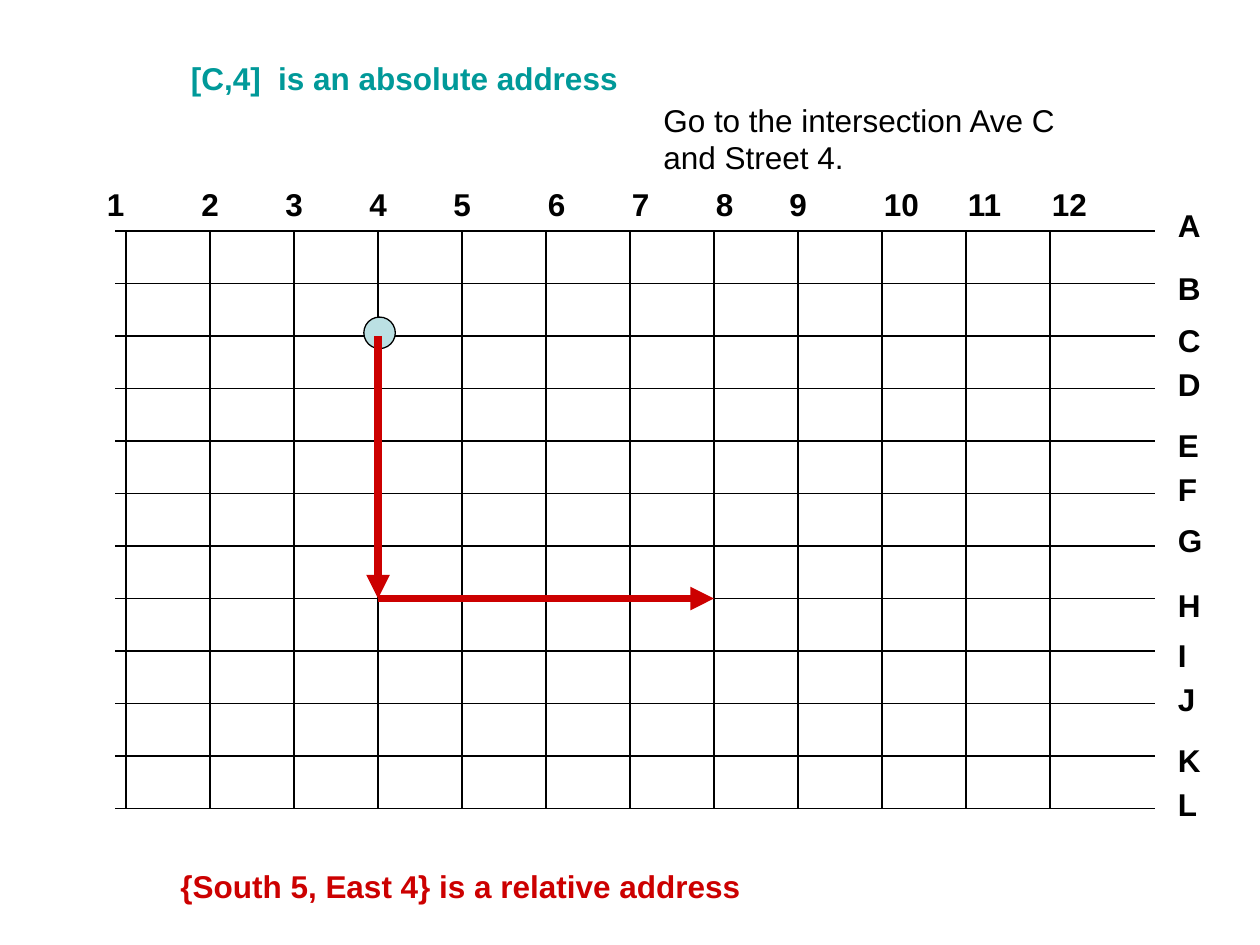
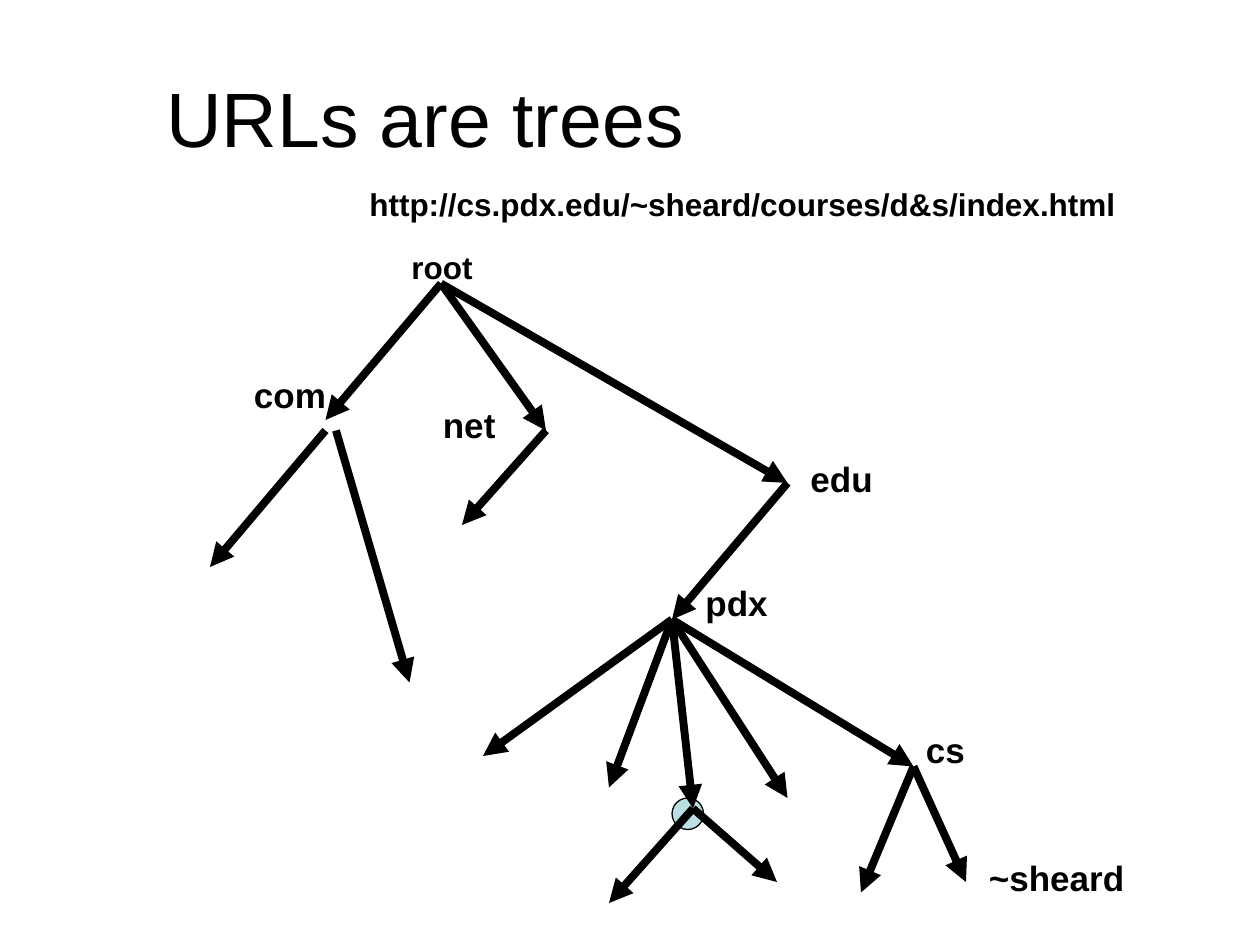
from lxml.etree import SubElement
from pptx import Presentation
from pptx.dml.color import RGBColor
from pptx.enum.shapes import MSO_CONNECTOR as Connector, MSO_SHAPE as Shape
from pptx.enum.text import MSO_ANCHOR as Anchor, PP_ALIGN as Align
from pptx.oxml.ns import qn
from pptx.util import Inches, Pt

COLORS = {"ink": "000000", "absolute": "009999", "relative": "CC0000", "node": "BBE0E3"}
FONT = "Arial"
COLUMNS, ROWS = 120, 90  # the slide's layout grid
BLANK, TITLE_ONLY = 6, 5


def rgb(name):
    return RGBColor.from_string(COLORS[name])


def write(frame, text, size=18, bold=True, color="ink", align=Align.LEFT, anchor=Anchor.TOP):
    frame.word_wrap = True
    frame.vertical_anchor = anchor
    paragraph = frame.paragraphs[0]
    paragraph.alignment = align
    run = paragraph.add_run()
    run.text = text
    run.font.name, run.font.size, run.font.bold = FONT, Pt(size), bold
    run.font.color.rgb = rgb(color)


class Deck:
    """Holds the shared style and the slide being drawn; lengths are grid units."""

    def __init__(self):
        self.prs = Presentation()
        self.prs.slide_width, self.prs.slide_height = Inches(10), Inches(7.5)
        self.slide = None

    def x(self, columns):
        return round(self.prs.slide_width * columns / COLUMNS)

    def y(self, rows):
        return round(self.prs.slide_height * rows / ROWS)

    def area(self, left, top, width, height):
        return self.x(left), self.y(top), self.x(width), self.y(height)

    def new_slide(self, layout):
        self.slide = self.prs.slides.add_slide(self.prs.slide_layouts[layout])

    def title(self, text, *area):
        heading = self.slide.shapes.title
        heading.left, heading.top, heading.width, heading.height = self.area(*area)
        write(heading.text_frame, text, size=44, bold=False,
              align=Align.CENTER, anchor=Anchor.MIDDLE)

    def label(self, text, left, top, width, height=4.8, **style):
        box = self.slide.shapes.add_textbox(*self.area(left, top, width, height))
        write(box.text_frame, text, **style)

    def line(self, start, end, color="ink", weight=0.75):
        connector = self.slide.shapes.add_connector(
            Connector.STRAIGHT, self.x(start[0]), self.y(start[1]), self.x(end[0]), self.y(end[1]))
        connector.line.color.rgb = rgb(color)
        connector.line.width = Pt(weight)
        SubElement(connector._element.spPr, qn("a:effectLst"))
        return connector

    def arrow(self, start, end, color="ink"):
        connector = self.line(start, end, color, weight=4.5)
        SubElement(connector.line._get_or_add_ln(), qn("a:tailEnd"), type="triangle")

    def dot(self, left, top, size=3):
        circle = self.slide.shapes.add_shape(Shape.OVAL, *self.area(left, top, size, size))
        circle.shadow.inherit = False
        circle.fill.solid()
        circle.fill.fore_color.rgb = rgb("node")
        circle.line.color.rgb = rgb("ink")
        circle.line.width = Pt(0.75)


def address_slide(deck):
    deck.new_slide(BLANK)

    # Street map
    avenues = {name: 22 + 5 * i for i, name in enumerate("ABCDEFGHIJKL")}
    streets = {number: 12 + 8 * i for i, number in enumerate(range(1, 13))}
    for row in avenues.values():
        deck.line((11, row), (110, row))
    for column in streets.values():
        deck.line((column, avenues["A"]), (column, avenues["L"]))

    # Avenue and street names
    avenue_tops = (19, 25, 30, 34.2, 40, 44.2, 49, 55.2, 60, 64.2, 70, 74.2)
    for name, top in zip(avenues, avenue_tops):
        deck.label(name, 111, top, 6)
    street_lefts = (9, 18, 26, 34, 42, 51, 59, 67, 74, 83, 91, 99)
    for number, left in zip(streets, street_lefts):
        deck.label(str(number), left, 17, 6)

    # Absolute address
    deck.label("[C,4]  is an absolute address", 17, 5, 49, color="absolute")
    deck.dot(34.65, 30.2)
    deck.label("Go to the intersection Ave C and Street 4.", 62, 9, 41, 8.4, bold=False)

    # Relative address
    deck.label("{South 5, East 4} is a relative address", 16, 82, 58, color="relative")
    origin = streets[4], avenues["C"]
    corner = streets[4], avenues["H"]
    target = streets[8], avenues["H"]
    deck.arrow(origin, corner, "relative")
    deck.arrow(corner, target, "relative")


def url_slide(deck):
    deck.new_slide(TITLE_ONLY)
    deck.title("URLs are trees", 7, 3.6, 67, 15)
    deck.label("http://cs.pdx.edu/~sheard/courses/d&s/index.html", 34, 17, 83)

    # Branches, each parent with its children
    root, net, edu = (42, 27), (52, 41), (75, 46)
    pdx, course, cs = (64, 59), (66, 77), (87, 73)
    branches = (
        (root, ((31, 40), net, edu)),
        ((31, 41), ((20, 54),)),
        ((32, 41), ((39, 65),)),
        (net, ((44, 50),)),
        (edu, (pdx,)),
        (pdx, ((46, 72), (58, 75), course, (75, 76), cs)),
        (course, ((58, 86), (74, 84))),
        (cs, ((82, 85), (92, 84))),
    )
    deck.dot(64, 76)
    for parent, children in branches:
        for child in children:
            deck.arrow(parent, child)

    # Domain names
    deck.label("root", 38, 23, 9)
    domains = (("com", 23, 35, 10), ("net", 41, 37.8, 10), ("edu", 76, 43, 10),
               ("pdx", 66, 54.8, 10), ("cs", 87, 68.8, 10), ("~sheard", 93, 81, 20))
    for name, left, top, width in domains:
        deck.label(name, left, top, width, 5.3, size=20)


def main():
    deck = Deck()
    address_slide(deck)
    url_slide(deck)
    deck.prs.save("out.pptx")


if __name__ == "__main__":
    main()
